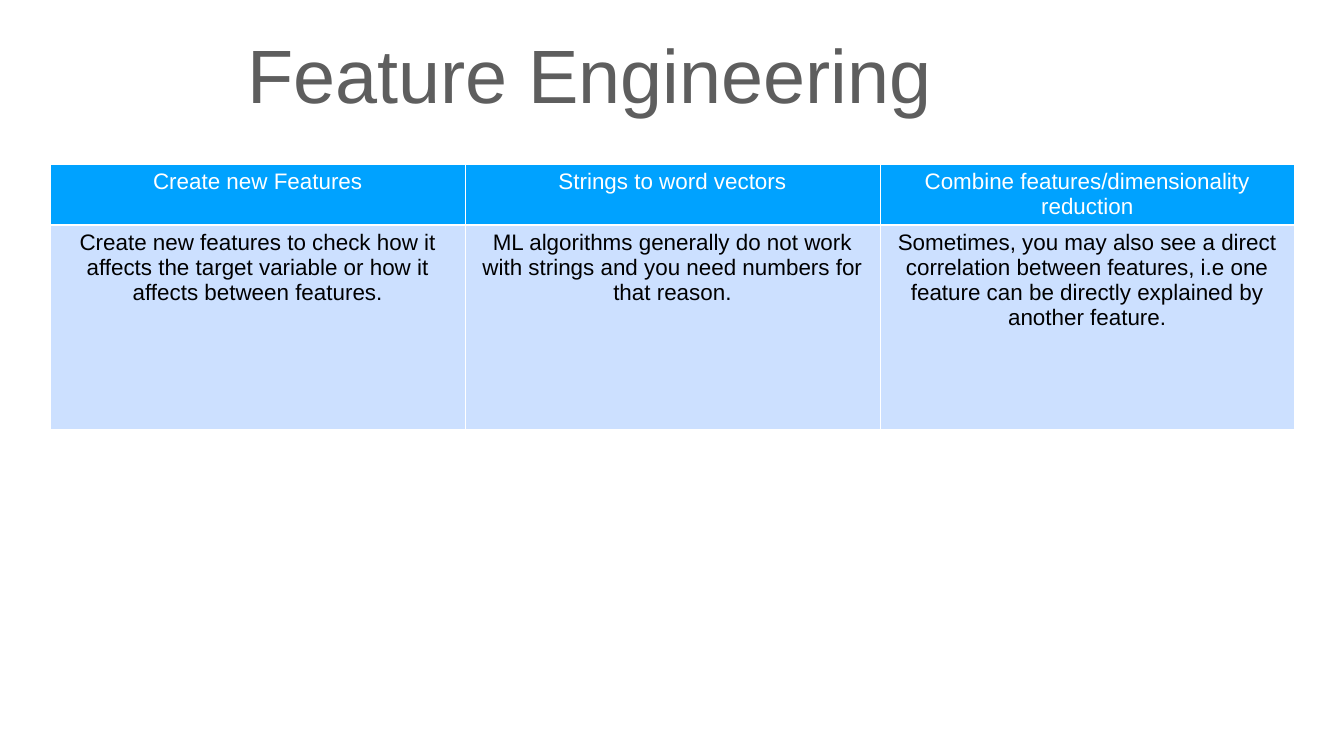
"""Build the Feature Engineering slide with its three-column table."""
from lxml import etree
from pptx import Presentation
from pptx.dml.color import RGBColor
from pptx.enum.text import MSO_ANCHOR, PP_ALIGN
from pptx.oxml.ns import qn
from pptx.util import Inches, Pt


def paint(target, color):
    target.solid()
    target.fore_color.rgb = RGBColor.from_string(color)


def add_borders(cell, bottom_width):
    properties = cell._tc.get_or_add_tcPr()
    widths = {"a:lnL": 1, "a:lnR": 1, "a:lnT": 1, "a:lnB": bottom_width}
    for side, width in widths.items():
        line = etree.SubElement(properties, qn(side), w=str(Pt(width)))
        fill = etree.SubElement(line, qn("a:solidFill"))
        etree.SubElement(fill, qn("a:srgbClr"), val="FFFFFF")


deck = Presentation()
deck.slide_width = Inches(26.67)
deck.slide_height = Inches(15)
page = deck.slides.add_slide(deck.slide_layouts[5])
paint(page.background.fill, "FFFFFF")

title = page.shapes.title
title.left, title.top = Inches(0.2), Inches(0)
title.width, title.height = Inches(23), Inches(2.9)
frame = title.text_frame
frame.text = "Feature Engineering"
frame.word_wrap = True
frame.vertical_anchor = MSO_ANCHOR.MIDDLE
frame.margin_left = frame.margin_right = Inches(0.06)
frame.margin_top = frame.margin_bottom = Inches(0.06)
paragraph = frame.paragraphs[0]
paragraph.alignment = PP_ALIGN.CENTER
paragraph.font.name = "Arial"
paragraph.font.size = Pt(108)
paint(paragraph.font.fill, "5E5E5E")

headings = [
    "Create new Features",
    "Strings to word vectors",
    "Combine features/dimensionality reduction",
]
descriptions = [
    "Create new features to check how it affects the target variable "
    "or how it affects between features.",
    "ML algorithms generally do not work with strings and you need "
    "numbers for that reason.",
    "Sometimes, you may also see a direct correlation between features, "
    "i.e one feature can be directly explained by another feature.",
]
rows = [
    (headings, 1.2, "00A2FF", "FFFFFF", 3),
    (descriptions, 4.06, "CCE0FF", "000000", 1),
]
column_width = 8.23
table = page.shapes.add_table(
    len(rows), len(headings), Inches(1), Inches(3.26),
    Inches(column_width * len(headings)), Inches(5.26),
).table
for column in table.columns:
    column.width = Inches(column_width)

for row_index, (texts, height, fill_color, text_color, bottom_width) in enumerate(rows):
    table.rows[row_index].height = Inches(height)
    for column_index, text in enumerate(texts):
        cell = table.cell(row_index, column_index)
        cell.text = text
        cell.margin_left = cell.margin_right = Inches(0.2)
        cell.margin_top = cell.margin_bottom = Inches(0.1)
        add_borders(cell, bottom_width)
        paint(cell.fill, fill_color)
        paragraph = cell.text_frame.paragraphs[0]
        paragraph.alignment = PP_ALIGN.CENTER
        paragraph.font.name = "Arial"
        paragraph.font.size = Pt(32)
        paragraph.font.bold = False
        paint(paragraph.font.fill, text_color)

deck.save("out.pptx")
